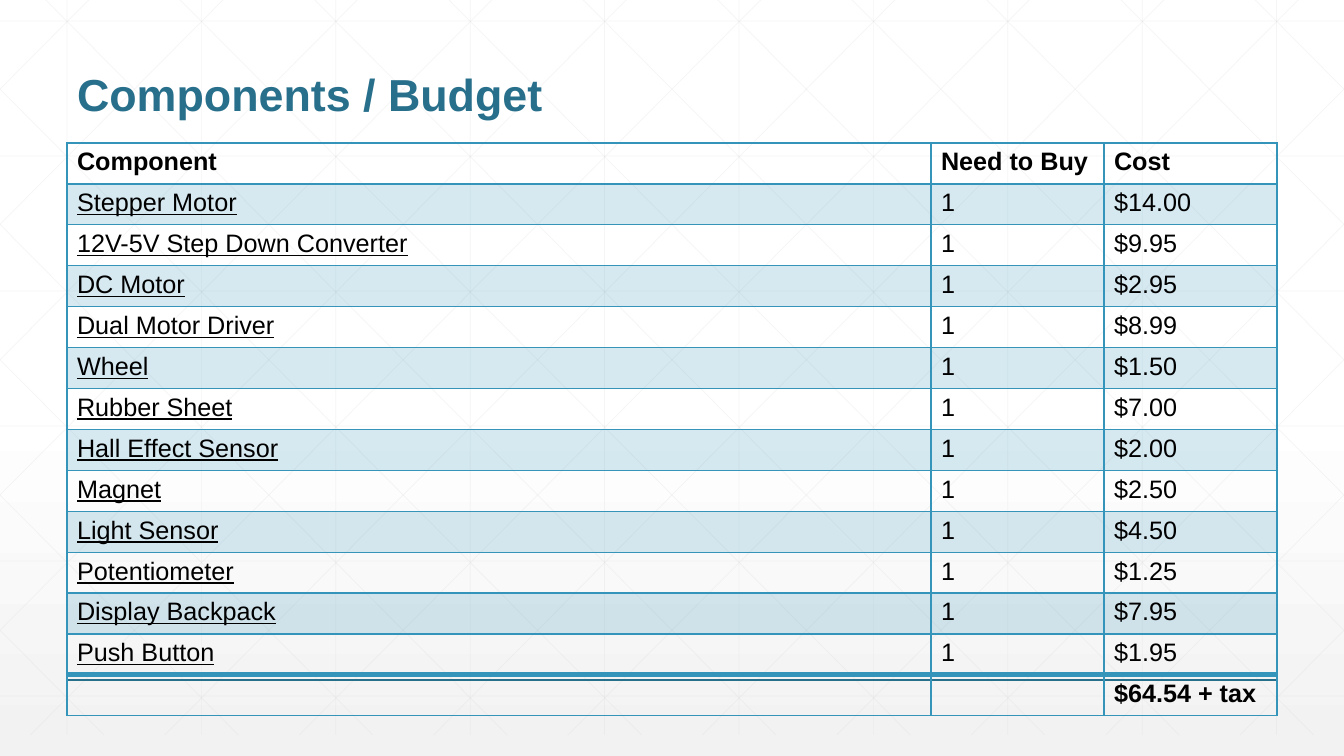
import copy
import dataclasses

import lxml.etree
import pptx
import pptx.dml.color
import pptx.enum.shapes
import pptx.enum.text
import pptx.oxml.ns
import pptx.util

qn = pptx.oxml.ns.qn
RGB = pptx.dml.color.RGBColor.from_string
PX = pptx.util.Inches(1) / 100.8
WIDTH, HEIGHT = 1344, 756


@dataclasses.dataclass(frozen=True)
class Theme:
    """Colours, font and type sizes of the slide."""
    font: str = "Arial"
    title: str = "276F8B"
    accent: str = "3494BA"
    text: str = "000000"
    grid: str = "D9D9D9"
    top: str = "FFFFFF"
    bottom: str = "F2F2F2"
    title_size: int = 32
    body_size: int = 18


theme = Theme()


def put_text(tf, text, size=theme.body_size, color=theme.text, bold=False, underline=False):
    """Write one formatted run into the first paragraph and return the paragraph."""
    p = tf.paragraphs[0]
    r = p.add_run()
    r.text = text
    r.font.name = theme.font
    r.font.size = pptx.util.Pt(size)
    r.font.bold = bold
    r.font.underline = underline
    r.font.color.rgb = RGB(color)
    return p


def add_line(x1, y1, x2, y2, color=theme.grid, width=0.5, alpha=25):
    """Draw a straight line between two pixel points."""
    ends = [round(v * PX) for v in (x1, y1, x2, y2)]
    line = s.shapes.add_connector(pptx.enum.shapes.MSO_CONNECTOR.STRAIGHT, *ends)
    line.line.color.rgb = RGB(color)
    line.line.width = pptx.util.Pt(width)
    clr = line.element.spPr.find(".//" + qn("a:srgbClr"))
    lxml.etree.SubElement(clr, qn("a:alpha"), val=str(alpha * 1000))
    lxml.etree.SubElement(line.element.spPr, qn("a:effectLst"))


prs = pptx.Presentation()
prs.slide_width, prs.slide_height = round(WIDTH * PX), round(HEIGHT * PX)
s = prs.slides.add_slide(prs.slide_layouts[5])

# Background gradient: white down to the middle, then light grey
fill = s.background.fill
fill.gradient()
fill.gradient_angle = 270
stop_list = s.element.find(".//" + qn("a:gsLst"))
stop_list.insert(0, copy.deepcopy(stop_list[0]))
stops = ((0, theme.top), (0.53, theme.top), (1, theme.bottom))
for stop, (position, color) in zip(fill.gradient_stops, stops):
    stop.position = position
    stop.color.rgb = RGB(color)

# Background grid: verticals, horizontals and mirrored diagonals
LEFT, RIGHT, TOP, BOTTOM = 67, 1277, -21, 735
STEP = 134.4
RUN = 751
slope = (BOTTOM - TOP) / RUN
for i in range(10):
    add_line(LEFT + i * STEP, TOP, LEFT + i * STEP, BOTTOM)
for i in range(6):
    add_line(0, 21 + i * 135, WIDTH, 21 + i * 135)
for i in range(-5, 10):
    start = 25 + i * STEP
    x1, x2 = max(start, 0), min(start + RUN, WIDTH)
    y1, y2 = (TOP + (x - start) * slope for x in (x1, x2))
    add_line(x1, y1, x2, y2)
    add_line(WIDTH - x1, y1, WIDTH - x2, y2)
add_line(LEFT, 680, RIGHT, 680, color=theme.title, width=1, alpha=100)

# Title, brought in front of the grid
title = s.shapes.title
s.shapes.element.append(title.element)
title.left, title.top, title.width, title.height = (
    round(v * PX) for v in (LEFT, 25, RIGHT - LEFT, 101))
tf = title.text_frame
tf.word_wrap = True
tf.vertical_anchor = pptx.enum.text.MSO_ANCHOR.BOTTOM
p = put_text(tf, "Components / Budget", size=theme.title_size, color=theme.title, bold=True)
p.alignment = pptx.enum.text.PP_ALIGN.LEFT
p.line_spacing = 0.9

# Budget table
parts = [
    ("Stepper Motor", "$14.00"),
    ("12V-5V Step Down Converter", "$9.95"),
    ("DC Motor", "$2.95"),
    ("Dual Motor Driver", "$8.99"),
    ("Wheel", "$1.50"),
    ("Rubber Sheet", "$7.00"),
    ("Hall Effect Sensor", "$2.00"),
    ("Magnet", "$2.50"),
    ("Light Sensor", "$4.50"),
    ("Potentiometer", "$1.25"),
    ("Display Backpack", "$7.95"),
    ("Push Button", "$1.95"),
]
rows = [("Component", "Need to Buy", "Cost")]
rows += [(part, "1", cost) for part, cost in parts]
rows += [("", "", "$64.54 + tax")]
last = len(rows) - 1
box = [round(v * PX) for v in (LEFT, 143, RIGHT - LEFT, 573)]
table = s.shapes.add_table(len(rows), 3, *box).table
table.first_row = table.horz_banding = False
for column, width in zip(table.columns, (864, 173, 173)):
    column.width = round(width * PX)
for row in table.rows:
    row.height = round(box[3] / len(rows))

rule_widths = {1: 2, last: 4}  # points, by the row below the rule
for i, row in enumerate(rows):
    for j, text in enumerate(row):
        cell = table.cell(i, j)
        is_part = 0 < i < last
        if text:
            put_text(cell.text_frame, text, bold=not is_part, underline=is_part and j == 0)
        else:
            cell.text_frame.paragraphs[0].font.size = pptx.util.Pt(theme.body_size)
        tcPr = cell._tc.get_or_add_tcPr()
        if is_part and i % 2:
            cell.fill.solid()
            cell.fill.fore_color.rgb = RGB(theme.accent)
            clr = tcPr.find(".//" + qn("a:srgbClr"))
            lxml.etree.SubElement(clr, qn("a:alpha"), val="20000")
        else:
            cell.fill.background()
        borders = {"L": 1, "R": 1, "T": rule_widths.get(i, 1), "B": rule_widths.get(i + 1, 1)}
        for k, (side, width) in enumerate(borders.items()):
            ln = lxml.etree.Element(qn("a:ln" + side), w=str(pptx.util.Pt(width)))
            solid = lxml.etree.SubElement(ln, qn("a:solidFill"))
            lxml.etree.SubElement(solid, qn("a:srgbClr"), val=theme.accent)
            tcPr.insert(k, ln)

prs.save("out.pptx")
